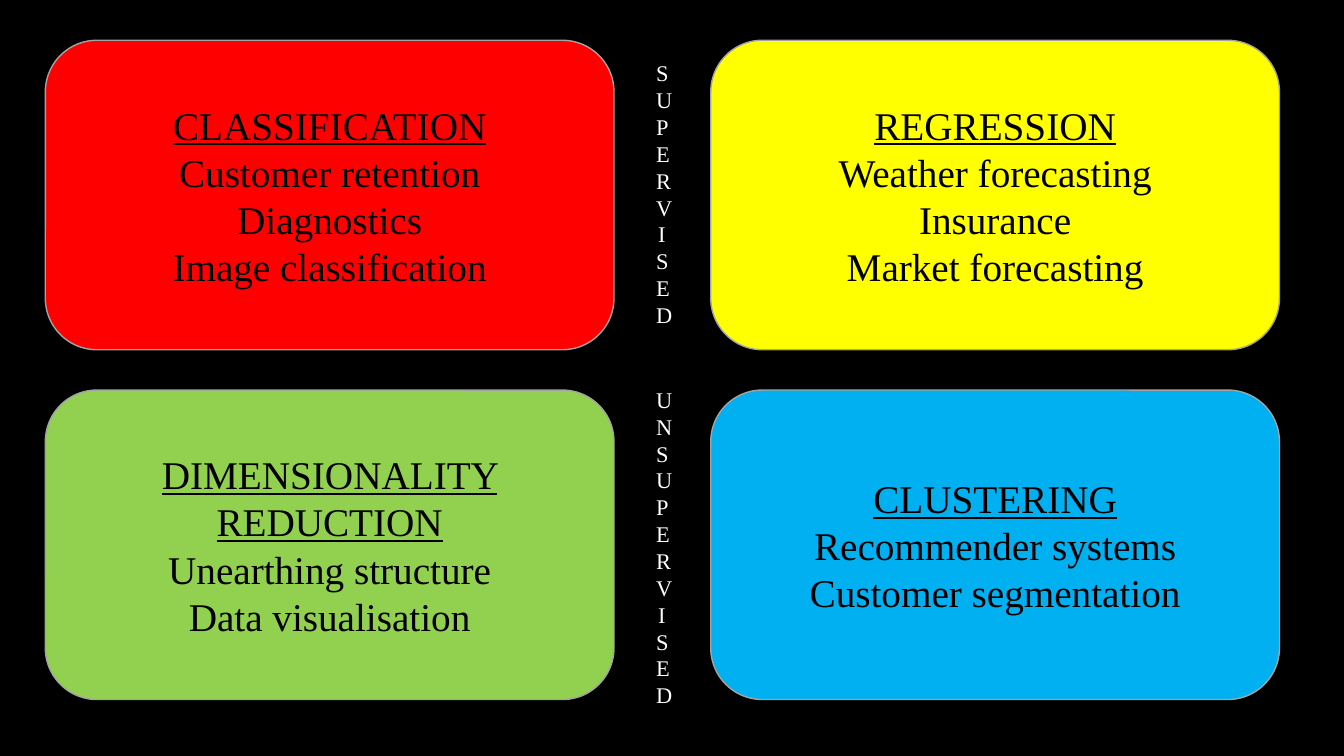
from dataclasses import dataclass

from pptx import Presentation
from pptx.dml.color import RGBColor
from pptx.enum.shapes import MSO_SHAPE as Shape
from pptx.enum.text import MSO_ANCHOR as Anchor, MSO_AUTO_SIZE as AutoSize, PP_ALIGN as Align
from pptx.util import Inches, Pt


@dataclass(frozen=True)
class Theme:
    font: str = "Times New Roman"
    background: str = "000000"
    card_text: str = "000000"
    label_text: str = "FFFFFF"
    outline: str = "A3A3A3"
    red: str = "FF0000"
    yellow: str = "FFFF00"
    green: str = "92D050"
    blue: str = "00B0F0"
    card_size: int = 28
    label_size: int = 16


THEME = Theme()
LEFT, TOP = 0.45, 0.4
CARD_WIDTH, CARD_HEIGHT = 5.64, 3.07
COLUMN_STEP, ROW_STEP = 6.6, 3.47
LABEL_LEFT, LABEL_WIDTH = 6.41, 0.31

CARDS = [
    (0, 0, THEME.red, "CLASSIFICATION",
     ["Customer retention", "Diagnostics", "Image classification"]),
    (1, 0, THEME.yellow, "REGRESSION",
     ["Weather forecasting", "Insurance", "Market forecasting"]),
    (0, 1, THEME.green, "DIMENSIONALITY REDUCTION",
     ["Unearthing structure", "Data visualisation"]),
    (1, 1, THEME.blue, "CLUSTERING",
     ["Recommender systems", "Customer segmentation"]),
]
LABELS = [("SUPERVISED", 0.54, 2.79), ("UNSUPERVISED", 3.78, 3.33)]


def style(paragraph, size, color, underline=False):
    paragraph.alignment = Align.CENTER
    font = paragraph.font
    font.name = THEME.font
    font.size = Pt(size)
    font.color.rgb = RGBColor.from_string(color)
    font.underline = underline


def add_card(slide, column, row, color, heading, uses):
    card = slide.shapes.add_shape(
        Shape.ROUNDED_RECTANGLE,
        Inches(LEFT + column * COLUMN_STEP), Inches(TOP + row * ROW_STEP),
        Inches(CARD_WIDTH), Inches(CARD_HEIGHT))
    card.shadow.inherit = False
    card.fill.solid()
    card.fill.fore_color.rgb = RGBColor.from_string(color)
    card.line.color.rgb = RGBColor.from_string(THEME.outline)
    card.line.width = Pt(1)
    frame = card.text_frame
    frame.word_wrap = True
    frame.vertical_anchor = Anchor.MIDDLE
    frame.text = "\n".join([heading, *uses])
    for index, paragraph in enumerate(frame.paragraphs):
        style(paragraph, THEME.card_size, THEME.card_text, underline=index == 0)


def add_vertical_label(slide, word, top, height):
    label = slide.shapes.add_textbox(
        Inches(LABEL_LEFT), Inches(top), Inches(LABEL_WIDTH), Inches(height))
    frame = label.text_frame
    frame.word_wrap = True
    frame.auto_size = AutoSize.SHAPE_TO_FIT_TEXT
    frame.text = word
    style(frame.paragraphs[0], THEME.label_size, THEME.label_text)


def main():
    deck = Presentation()
    deck.slide_width, deck.slide_height = Inches(13.33), Inches(7.5)
    slide = deck.slides.add_slide(deck.slide_layouts[6])
    slide.background.fill.solid()
    slide.background.fill.fore_color.rgb = RGBColor.from_string(THEME.background)
    for card in CARDS:
        add_card(slide, *card)
    for label in LABELS:
        add_vertical_label(slide, *label)
    deck.save("out.pptx")


if __name__ == "__main__":
    main()
